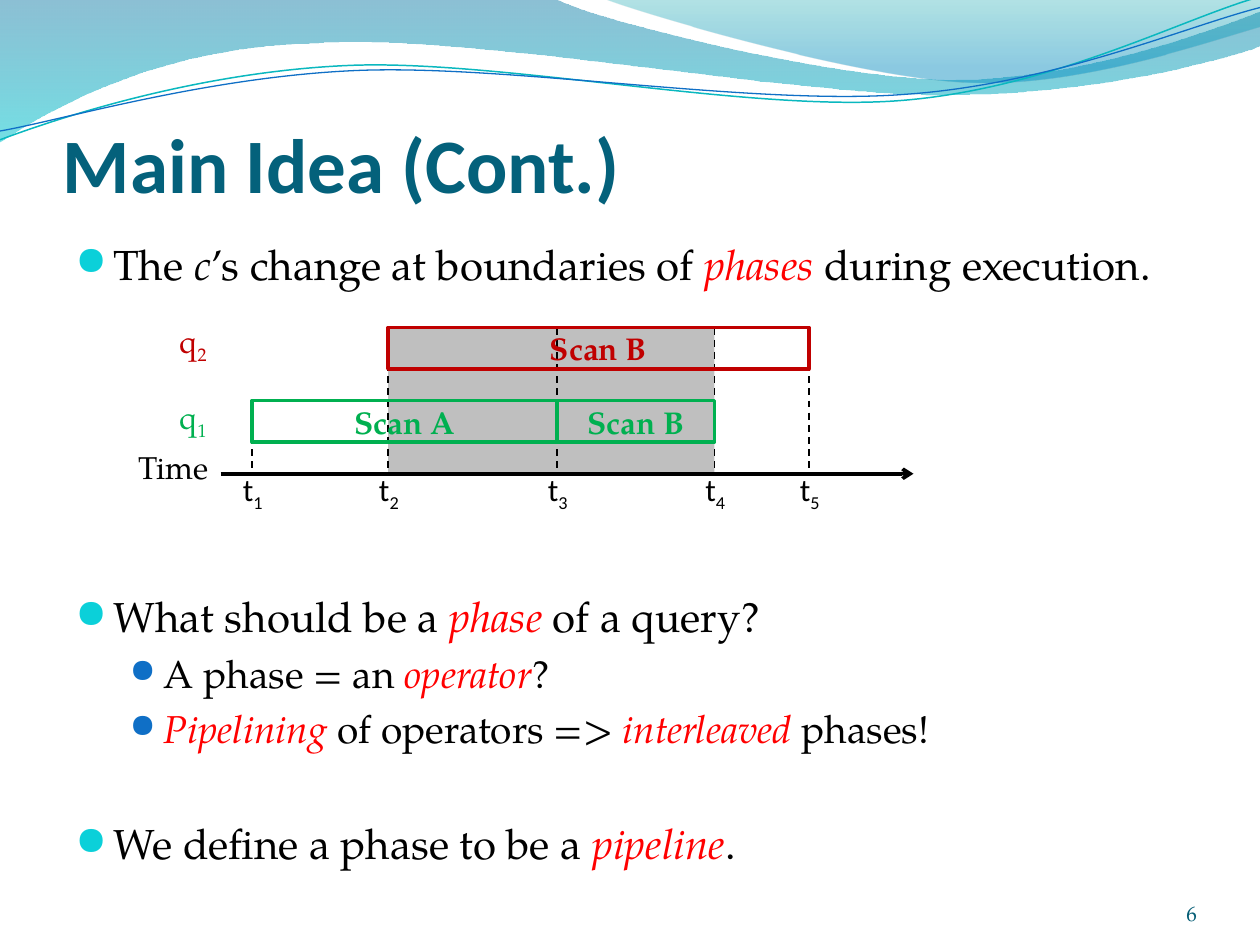
from lxml import etree
from pptx import Presentation
from pptx.dml.color import RGBColor
from pptx.enum import dml, shapes, text
from pptx.oxml import ns
from pptx.util import Inches, Pt

SERIF, SANS = "TeX Gyre Pagella", "Calibri"
BLACK, RED, GREEN, CRIMSON = "000000", "FF0000", "00B050", "C00000"


def color(value):
    return RGBColor.from_string(value)


def add_run(paragraph, content, size=18, font=SERIF, fill=BLACK, bold=False, italic=False, baseline=None):
    run = paragraph.add_run()
    run.text = content
    run.font.size, run.font.name = Pt(size), font
    run.font.bold, run.font.italic = bold, italic
    run.font.color.rgb = color(fill)
    if baseline:
        run.font._element.set("baseline", str(baseline * 1000))


def add_child(parent, tag, **attributes):
    return etree.SubElement(parent, ns.qn(tag), attributes)


class SlideBuilder:
    def __init__(self, slide):
        self.slide = slide

    def outline(self, start, segments, closed):
        """Each segment is (x, y) for a line or (x1, y1, x2, y2, x, y) for a cubic curve."""
        builder = self.slide.shapes.build_freeform(*map(Inches, start))
        builder.add_line_segments([tuple(map(Inches, segment[-2:])) for segment in segments], close=closed)
        shape = builder.convert_to_shape()
        shape.shadow.inherit = False
        for element, segment in zip(list(shape._element.iter(ns.qn("a:lnTo"))), segments):
            if len(segment) == 6:
                curve = etree.Element(ns.qn("a:cubicBezTo"))
                for x, y in zip(segment[::2], segment[1::2]):
                    add_child(curve, "a:pt", x=str(Inches(x) - shape.left), y=str(Inches(y) - shape.top))
                element.getparent().replace(element, curve)
        return shape

    def wave(self, start, segments, stops):
        shape = self.outline(start, segments, True)
        shape.line.fill.background()
        shape.fill.gradient()
        shape.fill.gradient_angle = 270
        for stop, (position, value, _) in zip(shape.fill.gradient_stops, stops):
            stop.position, stop.color.rgb = position, color(value)
        for element, stop in zip(shape._element.spPr.iter(ns.qn("a:srgbClr")), stops):
            add_child(element, "a:alpha", val=str(stop[2] * 1000))

    def strand(self, start, segments, value, width):
        shape = self.outline(start, segments, False)
        shape.fill.background()
        shape.line.color.rgb, shape.line.width = color(value), Pt(width)

    def box(self, left, top, width, height, fill=None, line=None, label=None):
        shape = self.slide.shapes.add_shape(shapes.MSO_SHAPE.RECTANGLE, *map(Inches, (left, top, width, height)))
        shape.shadow.inherit = False
        if fill:
            shape.fill.solid()
            shape.fill.fore_color.rgb = color(fill)
        else:
            shape.fill.background()
        if line:
            shape.line.color.rgb, shape.line.width = color(line), Pt(2)
        else:
            shape.line.fill.background()
        if label:
            frame = shape.text_frame
            frame.vertical_anchor = text.MSO_ANCHOR.MIDDLE
            frame.paragraphs[0].alignment = text.PP_ALIGN.CENTER
            add_run(frame.paragraphs[0], label, fill=line, bold=True)

    def line(self, start, end, width=1, dashed=False, arrow=False):
        connector = self.slide.shapes.add_connector(shapes.MSO_CONNECTOR.STRAIGHT, *map(Inches, start + end))
        connector.line.color.rgb, connector.line.width = color(BLACK), Pt(width)
        if dashed:
            connector.line.dash_style = dml.MSO_LINE.DASH
        if arrow:
            add_child(connector.line._get_or_add_ln(), "a:tailEnd", type="arrow")
        add_child(connector._element.spPr, "a:effectLst")

    def frame(self, left, top, width, height, anchor=text.MSO_ANCHOR.TOP, insets=None):
        frame = self.slide.shapes.add_textbox(*map(Inches, (left, top, width, height))).text_frame
        frame.word_wrap, frame.vertical_anchor = True, anchor
        if insets:
            (frame.margin_left, frame.margin_top,
             frame.margin_right, frame.margin_bottom) = map(Inches, insets)
        return frame

    def symbol(self, left, top, width, letter, index, **style):
        paragraph = self.frame(left, top, width, 0.4).paragraphs[0]
        add_run(paragraph, letter, **style)
        add_run(paragraph, index, baseline=-25, **style)

    def bullet(self, paragraph, level, before, parts):
        """Parts are plain text, or (text, colour) for italics."""
        size, indent, hang, dot, scale = ((24, 0.3, 0.3, "0BD0D9", 95),
                                          (22.2, 0.7, 0.27, "0F6FC6", 85))[level]
        paragraph.level, paragraph.space_before = level, Pt(before)
        properties = paragraph._p.get_or_add_pPr()
        properties.set("marL", str(Inches(indent)))
        properties.set("indent", str(-Inches(hang)))
        add_child(add_child(properties, "a:buClr"), "a:srgbClr", val=dot)
        add_child(properties, "a:buSzPct", val=str(scale * 1000))
        add_child(properties, "a:buFont", typeface="OpenSymbol")
        add_child(properties, "a:buChar", char="●")
        for part in parts:
            if isinstance(part, tuple):
                add_run(paragraph, part[0], size=size, fill=part[1], italic=True)
            else:
                add_run(paragraph, part, size=size)


def main():
    presentation = Presentation()
    presentation.slide_width, presentation.slide_height = Inches(10), Inches(7.5)
    builder = SlideBuilder(presentation.slides.add_slide(presentation.slide_layouts[6]))

    # Waves along the top
    builder.wave((0, 0), [(4.4, -0.01), (4.76, 0.17, 6.64, 0.63, 7.58, 0.63), (8.53, 0.63, 9.58, 0.26, 10, 0.09),
                          (10.01, 0.36), (9.83, 0.44, 8.7, 0.76, 7.46, 0.75), (6.22, 0.75, 3.82, 0.28, 2.57, 0.34),
                          (1.29, 0.36, 0.46, 0.83, -0.01, 1.13)], [(0, "0074A1", 45), (1, "00C6CF", 55)])
    builder.wave((4.79, -0.01), [(5.09, 0.11, 6.82, 0.62, 7.69, 0.65), (8.56, 0.69, 9.61, 0.32, 10, 0.21), (10, 0)],
                 [(0, "00A1A9", 30), (0.8, "008BBF", 45)])
    builder.strand((0, 1.11), [(0.48, 0.93, 1.58, 0.57, 2.77, 0.52), (3.95, 0.47, 5.93, 0.89, 7.13, 0.8),
                               (8.33, 0.71, 9.38, 0.15, 9.98, -0.02)], "0AB8BF", 0.85)
    builder.strand((0, 1.04), [(0.47, 0.96, 1.64, 0.61, 2.83, 0.56), (4.03, 0.51, 5.97, 0.84, 7.17, 0.75),
                               (8.36, 0.67, 9.41, 0.21, 10, 0.06)], "0F6FC6", 0.75)

    # Shaded overlap of the two queries
    times = t1, t2, t3, t4, t5 = 2, 3.08, 4.42, 5.67, 6.42
    top, middle, axis, bar = 2.6, 3.18, 3.76, 0.33
    for start, end in ((t3, t4), (t2, t3)):
        builder.box(start, top, end - start, axis - top, fill="BFBFBF")

    # Title, bullets and page number
    title = builder.frame(0.5, 0.42, 9, 1.24, text.MSO_ANCHOR.BOTTOM, (0, 0.05, 0, 0))
    add_run(title.paragraphs[0], "Main Idea (Cont.)", size=44, font=SANS, fill="04617B", bold=True)
    body = builder.frame(0.5, 1.84, 9.42, 4.8)
    bullets = [
        (0, 4.8, ["The ", ("c", BLACK), "’s change at boundaries of ", ("phases", RED), " during execution."]),
        (0, 172.8, ["What should be a ", ("phase", RED), " of a query?"]),
        (1, 4.6, ["A phase = an ", ("operator", RED), "?"]),
        (1, 5, [("Pipelining", RED), " of operators => ", ("interleaved", RED), " phases!"]),
        (0, 37.8, ["We define a phase to be a ", ("pipeline", RED), "."]),
    ]
    for number, (level, before, parts) in enumerate(bullets):
        paragraph = body.add_paragraph() if number else body.paragraphs[0]
        builder.bullet(paragraph, level, before, parts)
    page = builder.frame(8.67, 6.95, 0.83, 0.4, text.MSO_ANCHOR.BOTTOM, (0, 0, 0, 0)).paragraphs[0]
    page.alignment = text.PP_ALIGN.RIGHT
    add_run(page, "6", size=12, fill="045D75")

    # Time marks and axis
    for time in reversed(times):
        builder.line((time, middle if time == t1 else top), (time, axis), dashed=True)
    builder.line((1.75, axis), (7.25, axis), width=2, arrow=True)
    add_run(builder.frame(1, 3.51, 0.92, 0.4).paragraphs[0], "Time")

    # Scans of each query
    for start, end, y, line, label in ((t2, t5, top, CRIMSON, "Scan B"), (t1, t3, middle, GREEN, "Scan A"),
                                       (t3, t4, middle, GREEN, "Scan B")):
        builder.box(start, y, end - start, bar, line=line, label=label)

    # Query and time labels
    builder.symbol(1.33, 3.11, 0.46, "q", "1", fill=GREEN)
    builder.symbol(1.33, 2.51, 0.46, "q", "2", fill=CRIMSON)
    for index, time in enumerate(times, 1):
        builder.symbol(time - 0.17, 3.68, 0.5, "t", str(index), font=SANS)

    presentation.save("out.pptx")


if __name__ == "__main__":
    main()
